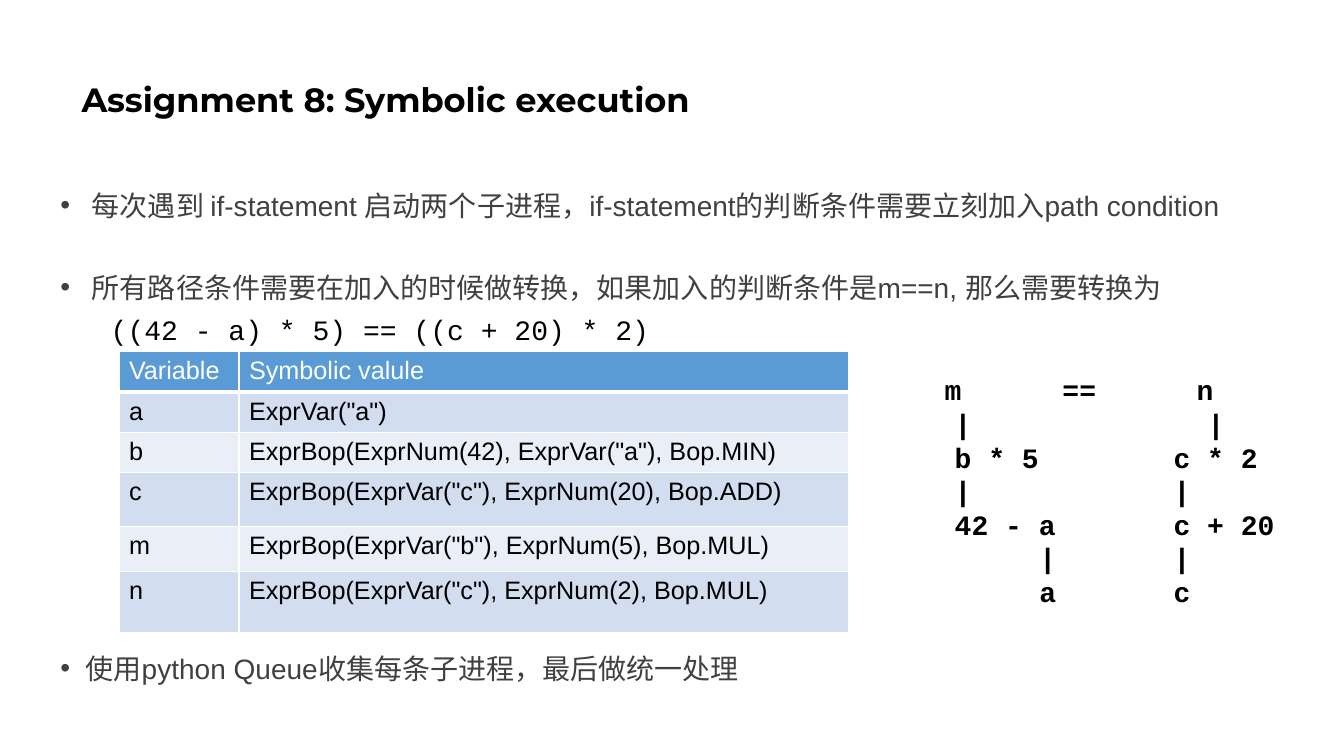
import pptx
import pptx.util
import pptx.dml.color
import pptx.enum.text
import pptx.oxml.ns
from lxml import etree

COLORS = {"black": "000000", "body": "404040", "white": "FFFFFF",
          "header": "5B9BD5", "odd": "D2DEEF", "even": "EAEFF7"}
WIDTH, HEIGHT = pptx.util.Inches(13.33), pptx.util.Inches(7.5)

TITLE = {"name": "Montserrat", "size": 24, "bold": True, "color": "black"}
BODY = {"name": "Arial", "size": 20, "color": "body"}
CODE = {"name": "Courier New", "size": 20, "color": "black"}
TREE = {**CODE, "bold": True}
HEAD = {"name": "Arial", "size": 18, "color": "white"}
CELL = {**HEAD, "color": "black"}

NOTES = [
    ("每次遇到 if-statement 启动两个子进程，if-statement的判断条件需要立刻加入path condition",
     BODY, 2.35, True, 0),
    ("所有路径条件需要在加入的时候做转换，如果加入的判断条件是m==n, 那么需要转换为",
     BODY, 2.35, True, 34.6),
    ("((42 - a) * 5) == ((c + 20) * 2)", CODE, 3.75, False, 6),
    ("使用python Queue收集每条子进程，最后做统一处理", BODY, 1.88, True, 218),
]
SYMBOLS = [
    ("Variable", "Symbolic valule"),
    ("a", 'ExprVar("a")'),
    ("b", 'ExprBop(ExprNum(42), ExprVar("a"), Bop.MIN)'),
    ("c", 'ExprBop(ExprVar("c"), ExprNum(20), Bop.ADD)'),
    ("m", 'ExprBop(ExprVar("b"), ExprNum(5), Bop.MUL)'),
    ("n", 'ExprBop(ExprVar("c"), ExprNum(2), Bop.MUL)'),
]
SYMBOL_COLS = (8.93, 45.39)
SYMBOL_ROWS = (5.07, 5.07, 5.33, 7.07, 6, 8)
TREE_LINES = [
    [("m", 9.23), ("==", 18), ("n", 27.98)],
    [("|", 9.98), ("|", 28.8)],
    [("b * 5", 9.98), ("c * 2", 26.26)],
    [("|", 9.98), ("|", 26.26)],
    [("42 - a", 9.98), ("c + 20", 26.26)],
    [("|", 16.28), ("|", 26.26)],
    [("a", 16.28), ("c", 26.26)],
]


def across(share):
    return round(WIDTH * share / 100)


def down(share):
    return round(HEIGHT * share / 100)


def rgb(name):
    return pptx.dml.color.RGBColor.from_string(COLORS[name])


def sub(parent, tag, **attrs):
    el = etree.SubElement(parent, pptx.oxml.ns.qn(tag))
    for key, value in attrs.items():
        el.set(key, str(value))
    return el


def add_run(p, text, style):
    r = p.add_run()
    r.text = text
    for key, value in style.items():
        if key == "color":
            r.font.color.rgb = rgb(value)
        else:
            setattr(r.font, key, pptx.util.Pt(value) if key == "size" else value)


def add_box(s, left, top, width, height):
    sp = s.shapes.add_textbox(across(left), down(top), across(width), down(height))
    tf = sp.text_frame
    tf.word_wrap = True
    return tf


def next_paragraph(tf):
    return tf.add_paragraph() if tf.paragraphs[0].runs else tf.paragraphs[0]


def add_title(s, text):
    tf = add_box(s, 5.33, 3.73, 86.27, 19.33)
    tf.vertical_anchor = pptx.enum.text.MSO_ANCHOR.MIDDLE
    tf.paragraphs[0].line_spacing = 0.9
    add_run(tf.paragraphs[0], text, TITLE)


def add_notes(s, notes):
    tf = add_box(s, 3.75, 24.27, 95.35, 71.87)
    for text, style, indent, bullet, gap in notes:
        p = next_paragraph(tf)
        pPr = p._p.get_or_add_pPr()
        pPr.set("marL", str(across(indent)))
        if bullet:
            pPr.set("indent", str(-across(indent)))
            sub(pPr, "a:buFont", typeface="Arial")
            sub(pPr, "a:buChar", char="•")
        p.line_spacing = pptx.util.Pt(24)
        p.space_before = pptx.util.Pt(gap)
        add_run(p, text, style)


def add_borders(cell, bottom):
    tcPr = cell._tc.get_or_add_tcPr()
    edges = {"a:lnL": 1, "a:lnR": 1, "a:lnT": 1, "a:lnB": bottom}
    for i, (tag, points) in enumerate(edges.items()):
        ln = sub(tcPr, tag, w=pptx.util.Pt(points))
        sub(sub(ln, "a:solidFill"), "a:srgbClr", val=COLORS["white"])
        tcPr.insert(i, ln)


def add_symbols(s, rows):
    table = s.shapes.add_table(len(rows), len(SYMBOL_COLS), across(8.85), down(46.53),
                               across(sum(SYMBOL_COLS)), down(sum(SYMBOL_ROWS))).table
    for column, share in zip(table.columns, SYMBOL_COLS):
        column.width = across(share)
    for i, (row, share) in enumerate(zip(table.rows, SYMBOL_ROWS)):
        row.height = down(share)
        fill = "header" if i == 0 else "odd" if i % 2 else "even"
        for cell, text in zip(row.cells, rows[i]):
            cell.fill.solid()
            cell.fill.fore_color.rgb = rgb(fill)
            add_borders(cell, 1 if i else 3)
            add_run(cell.text_frame.paragraphs[0], text, CELL if i else HEAD)


def add_tree(s, lines):
    tf = add_box(s, 60.32, 48.67, 37.28, 32.8)
    for line in lines:
        p = next_paragraph(tf)
        tabs = sub(p._p.get_or_add_pPr(), "a:tabLst")
        for _, share in line:
            sub(tabs, "a:tab", pos=across(share), algn="l")
        p.line_spacing = pptx.util.Pt(24)
        add_run(p, "".join("\t" + text for text, _ in line), TREE)


def main():
    prs = pptx.Presentation()
    prs.slide_width, prs.slide_height = WIDTH, HEIGHT
    s = prs.slides.add_slide(prs.slide_layouts[6])
    add_title(s, "Assignment 8: Symbolic execution")
    add_notes(s, NOTES)
    add_symbols(s, SYMBOLS)
    add_tree(s, TREE_LINES)
    prs.save("out.pptx")


if __name__ == "__main__":
    main()
